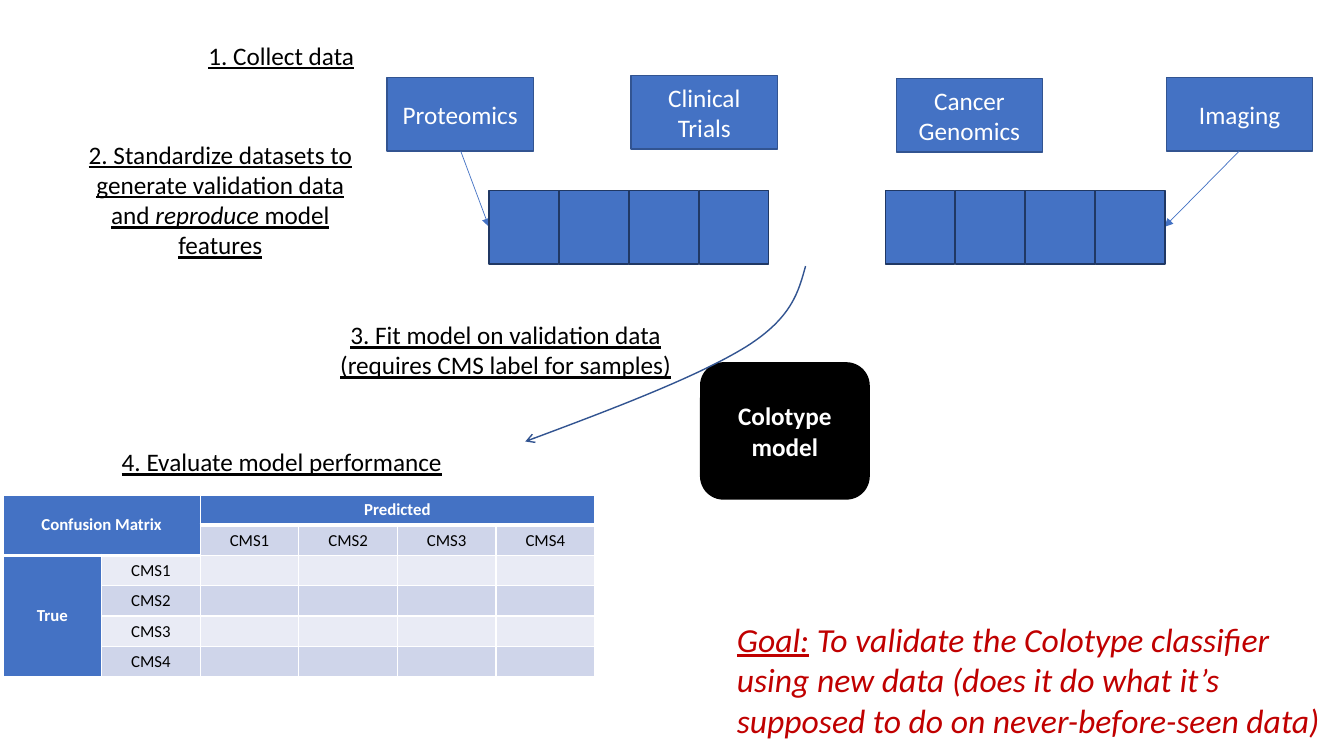
from dataclasses import dataclass
from lxml.etree import SubElement
from pptx import Presentation
from pptx.dml.color import RGBColor
from pptx.enum.shapes import MSO_CONNECTOR, MSO_SHAPE
from pptx.enum.text import MSO_ANCHOR, PP_ALIGN
from pptx.oxml.ns import qn
from pptx.util import Inches, Pt


@dataclass(frozen=True)
class Theme:
    font: str = "Calibri"
    blue: str = "4472C4"
    edge: str = "325491"
    navy: str = "203864"
    band_dark: str = "CFD5EA"
    band_light: str = "E9EBF5"
    red: str = "C00000"
    black: str = "000000"
    white: str = "FFFFFF"
    small: int = 12
    body: int = 18
    goal: int = 24


class SlideBuilder:
    """Draws styled elements on one slide."""

    def __init__(self, slide, theme):
        self.s, self.theme = slide, theme

    def style(self, p, color, size, align=PP_ALIGN.CENTER, **flags):
        p.alignment = align
        for r in p.runs:
            r.font.name, r.font.size = self.theme.font, Pt(size)
            r.font.color.rgb = RGBColor.from_string(color)
            for name, value in flags.items():
                setattr(r.font, name, value)

    def outline(self, sp, color, width):
        sp.line.color.rgb = RGBColor.from_string(color)
        sp.line.width = Pt(width)

    def arrowhead(self, sp, kind):
        SubElement(sp.line._get_or_add_ln(), qn("a:tailEnd"), type=kind)

    def text(self, box, parts, color=None, size=None, align=PP_ALIGN.CENTER, wrap=True):
        sp = self.s.shapes.add_textbox(*map(Inches, box))
        tf = sp.text_frame
        tf.word_wrap = wrap
        p = tf.paragraphs[0]
        for content, _ in parts:
            p.add_run().text = content
        self.style(p, color or self.theme.black, size or self.theme.body, align)
        for r, (_, flags) in zip(p.runs, parts):
            r.font.underline = "u" in flags
            r.font.italic = "i" in flags

    def box(self, box, text, fill, line, kind=MSO_SHAPE.RECTANGLE, bold=False):
        sp = self.s.shapes.add_shape(kind, *map(Inches, box))
        sp.shadow.inherit = False
        sp.fill.solid()
        sp.fill.fore_color.rgb = RGBColor.from_string(fill)
        self.outline(sp, line, 1)
        tf = sp.text_frame
        tf.text, tf.word_wrap = text, True
        tf.vertical_anchor = MSO_ANCHOR.MIDDLE
        for p in tf.paragraphs:
            self.style(p, self.theme.white, self.theme.body, bold=bold)

    def arrow(self, *ends):
        sp = self.s.shapes.add_connector(MSO_CONNECTOR.STRAIGHT, *map(Inches, ends))
        self.outline(sp, self.theme.blue, 0.5)
        self.arrowhead(sp, "triangle")
        SubElement(sp._element.spPr, qn("a:effectLst"))

    def curve(self, start, points):
        builder = self.s.shapes.build_freeform(*map(Inches, start))
        builder.add_line_segments([tuple(map(Inches, pt)) for pt in points], close=False)
        sp = builder.convert_to_shape()
        sp.shadow.inherit = False
        sp.fill.background()
        self.outline(sp, self.theme.edge, 1)
        self.arrowhead(sp, "arrow")
        outline = next(sp._element.iter(qn("a:path")))
        segments = outline.findall(qn("a:lnTo"))
        for i in range(0, len(segments), 3):
            bezier = SubElement(outline, qn("a:cubicBezTo"))
            for segment in segments[i:i + 3]:
                bezier.append(segment[0])
                outline.remove(segment)

    def cell(self, cell, text, fill, header, bottom):
        t = self.theme
        cell.text = text
        cell.vertical_anchor = MSO_ANCHOR.MIDDLE
        p = cell.text_frame.paragraphs[0]
        self.style(p, t.white if header else t.black, t.small, bold=header)
        if not text:
            p._p.get_or_add_endParaRPr().set("sz", str(t.small * 100))
        tcPr = cell._tc.get_or_add_tcPr()
        for side, width in (("L", 1), ("R", 1), ("T", 1), ("B", bottom)):
            ln = SubElement(tcPr, qn(f"a:ln{side}"), w=str(Pt(width)))
            SubElement(SubElement(ln, qn("a:solidFill")), qn("a:srgbClr"), val=t.white)
        cell.fill.solid()
        cell.fill.fore_color.rgb = RGBColor.from_string(fill)

    def confusion_matrix(self, box, labels):
        t, n = self.theme, len(labels) + 2
        tbl = self.s.shapes.add_table(n, n, *map(Inches, box)).table
        texts = {(0, 0): "Confusion Matrix", (0, 2): "Predicted", (2, 0): "True"}
        for i, label in enumerate(labels, 2):
            texts[1, i] = texts[i, 1] = label
        for row in range(n):
            for col in range(n):
                header = row == 0 or col == 0 or (row, col) == (1, 1)
                band = t.band_dark if row % 2 else t.band_light
                thick = row == 0 and col > 1 or row == 1 and col < 2
                if (row, col) == (0, 0):
                    thick = True
                self.cell(tbl.cell(row, col), texts.get((row, col), ""),
                          t.blue if header else band, header, 3 if thick else 1)
        for first, last in (((0, 0), (1, 1)), ((0, 2), (0, n - 1)), ((2, 0), (n - 1, 0))):
            tbl.cell(*first).merge(tbl.cell(*last))


theme = Theme()
prs = Presentation()
prs.slide_width, prs.slide_height = Inches(13.33), Inches(7.5)
s = SlideBuilder(prs.slides.add_slide(prs.slide_layouts[6]), theme)

s.text((7.21, 6.09, 6.26, 1.31),
       [("Goal:", "ui"),
        (" To validate the Colotype classifier using new data (does it do what it’s "
         "supposed to do on never-before-seen data)", "i")],
       theme.red, theme.goal, PP_ALIGN.LEFT)

for left, top, source in ((3.84, 0.77, "Proteomics"), (6.26, 0.75, "Clinical Trials"),
                          (8.89, 0.78, "Cancer Genomics"), (11.57, 0.77, "Imaging")):
    s.box((left, top, 1.45, 0.73), source, theme.blue, theme.edge)

s.arrow(4.57, 1.5, 4.85, 2.25)
s.arrow(12.29, 1.5, 11.55, 2.25)

for dataset_left in (4.85, 8.78):
    for i in range(4):
        s.box((dataset_left + i * 0.695, 1.89, 0.69, 0.73), "", theme.blue, theme.navy)

s.text((1.96, 0.35, 1.66, 0.4), [("1. Collect data", "u")], wrap=False)
s.text((0.74, 1.33, 2.89, 1.31),
       [("2. Standardize datasets to generate validation data and ", "u"),
        ("reproduce", "ui"), (" model features", "u")])
s.box((6.95, 3.6, 1.67, 1.35), "Colotype\nmodel", theme.black, theme.black,
      MSO_SHAPE.ROUNDED_RECTANGLE, bold=True)
s.text((3.15, 3.12, 3.73, 0.71),
       [("3. Fit model on validation data (requires CMS label for samples)", "u")])
s.curve((7.99, 2.64), [(7.92, 2.89), (7.86, 3.15), (7.4, 3.44),
                       (6.93, 3.73), (6.07, 4.06), (5.21, 4.38)])
s.text((0.93, 4.38, 3.73, 0.4), [("4. Evaluate model performance", "u")])
s.confusion_matrix((0.03, 4.91, 5.87, 1.8), [f"CMS{i}" for i in range(1, 5)])

prs.save("out.pptx")
